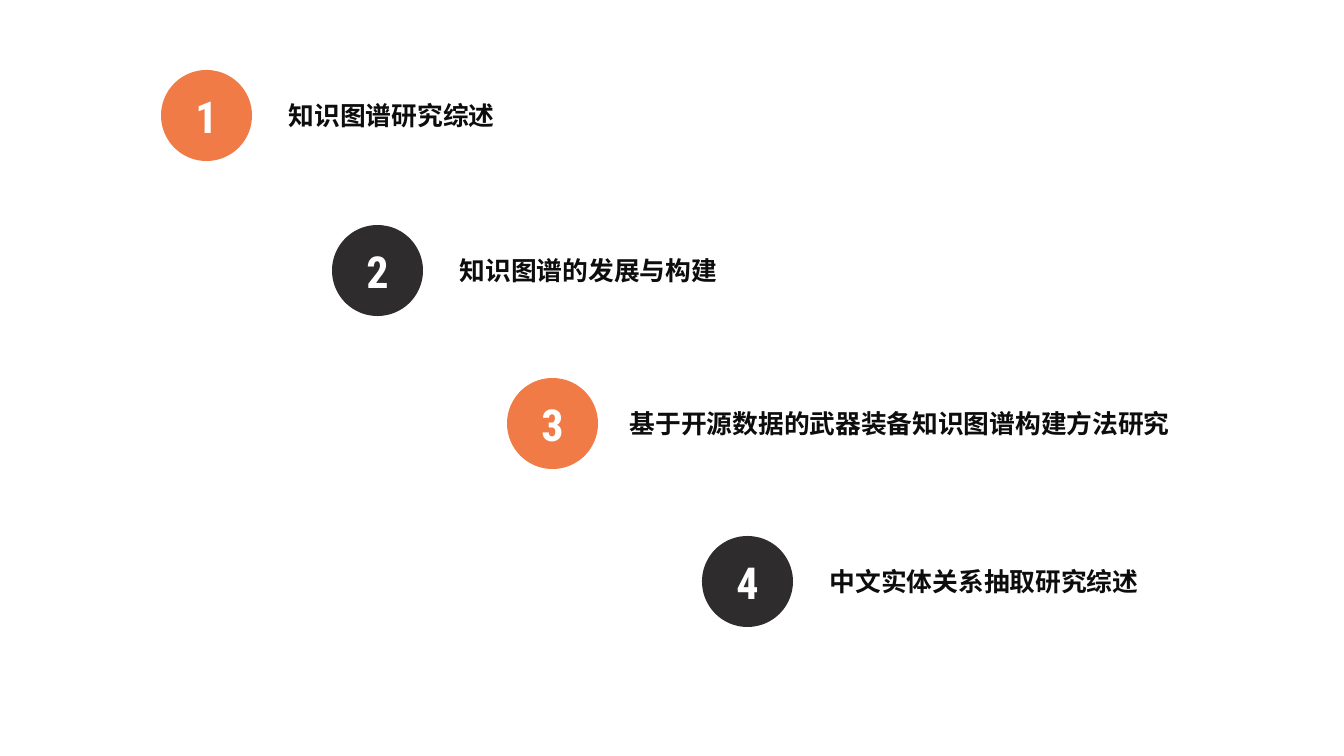
import pptx
import pptx.util
from pptx.dml.color import RGBColor
from pptx.enum.shapes import MSO_SHAPE
from pptx.enum.text import MSO_ANCHOR, MSO_AUTO_SIZE, PP_ALIGN
from pptx.oxml.ns import qn
from lxml import etree

EMU_PER_PX = 914400 / 100.8
ORANGE = RGBColor(0xF0, 0x7B, 0x46)
CHARCOAL = RGBColor(0x2E, 0x2C, 0x2C)
WHITE = RGBColor(0xFF, 0xFF, 0xFF)
INK = RGBColor(0x0D, 0x0D, 0x0D)
NUMBER_FONT = "Roboto Condensed"
TITLE_FONT = "Noto Sans CJK SC"

BADGE_SIZE = 91
TITLE_HEIGHT = 41
CHARACTER_WIDTH = 26
TITLE_PADDING = 20

# Badge left, badge top, title left, title
TOPICS = [
    (161, 70, 279, "知识图谱研究综述"),
    (332, 225, 450, "知识图谱的发展与构建"),
    (507, 378, 620, "基于开源数据的武器装备知识图谱构建方法研究"),
    (702, 536, 820, "中文实体关系抽取研究综述"),
]


def px(length):
    return pptx.util.Emu(round(length * EMU_PER_PX))


def style_text(paragraph, font_name, size, color):
    """Format every run, for Latin and East Asian characters alike."""
    for run in paragraph.runs:
        run.font.name = font_name
        run.font.size = pptx.util.Pt(size)
        run.font.bold = True
        run.font.color.rgb = color
        east_asian = etree.SubElement(run.font._element, qn("a:ea"))
        east_asian.set("typeface", font_name)


def add_badge(slide, left, top, number, color):
    badge = slide.shapes.add_shape(
        MSO_SHAPE.OVAL, px(left), px(top), px(BADGE_SIZE), px(BADGE_SIZE))
    badge.shadow.inherit = False
    badge.fill.solid()
    badge.fill.fore_color.rgb = color
    badge.line.fill.background()
    frame = badge.text_frame
    frame.vertical_anchor = MSO_ANCHOR.MIDDLE
    frame.text = str(number)
    frame.paragraphs[0].alignment = PP_ALIGN.CENTER
    style_text(frame.paragraphs[0], NUMBER_FONT, 31.5, WHITE)


def add_title(slide, left, top, title):
    width = CHARACTER_WIDTH * len(title) + TITLE_PADDING
    box = slide.shapes.add_textbox(px(left), px(top), px(width), px(TITLE_HEIGHT))
    frame = box.text_frame
    frame.word_wrap = False
    frame.auto_size = MSO_AUTO_SIZE.SHAPE_TO_FIT_TEXT
    frame.text = title
    style_text(frame.paragraphs[0], TITLE_FONT, 18.4, INK)


def main():
    presentation = pptx.Presentation()
    presentation.slide_width = px(1344)
    presentation.slide_height = px(756)
    slide = presentation.slides.add_slide(presentation.slide_layouts[6])
    for number, (left, top, title_left, title) in enumerate(TOPICS, start=1):
        add_badge(slide, left, top, number, ORANGE if number % 2 else CHARCOAL)
        add_title(slide, title_left, top + (BADGE_SIZE - TITLE_HEIGHT) // 2, title)
    presentation.save("out.pptx")


if __name__ == "__main__":
    main()
